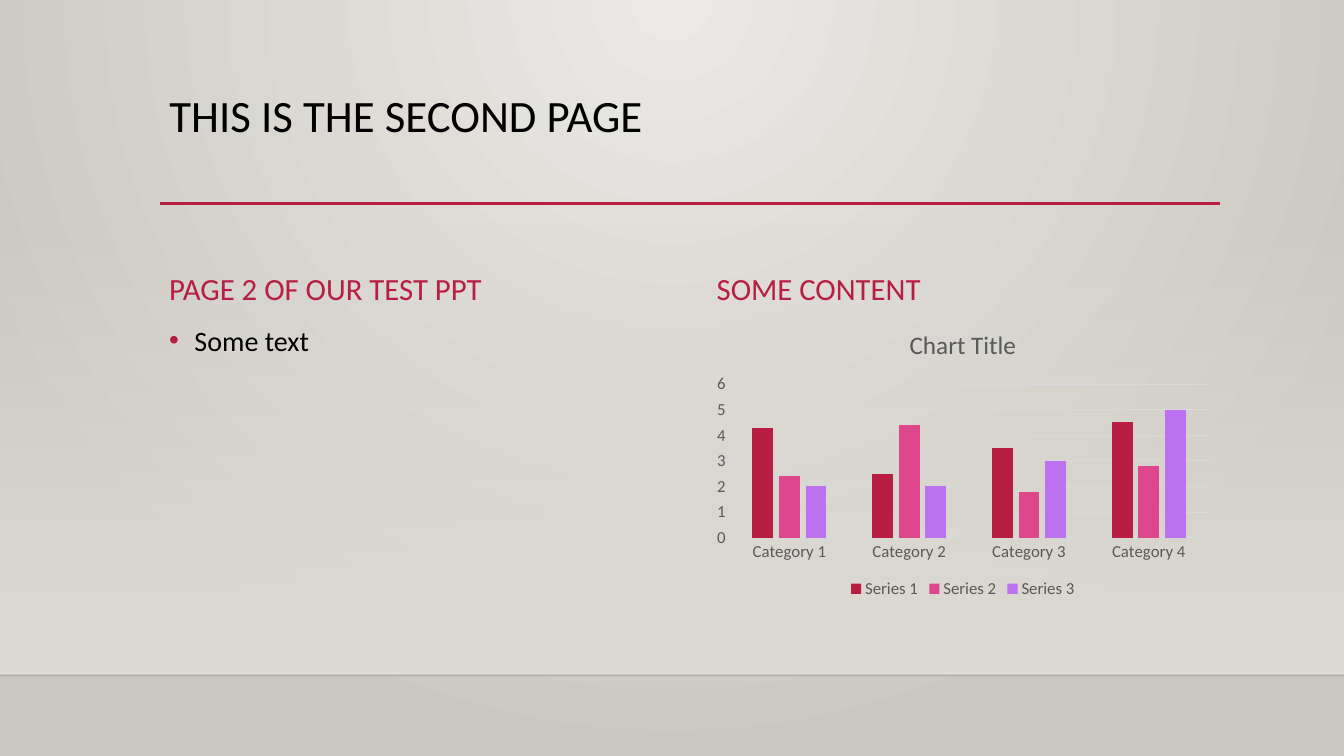
from dataclasses import dataclass

from lxml.etree import SubElement
from pptx import Presentation
from pptx.chart.data import CategoryChartData
from pptx.dml.color import RGBColor
from pptx.enum.chart import XL_CHART_TYPE as ChartType, XL_LEGEND_POSITION as LegendPos, XL_TICK_MARK as Tick
from pptx.enum.shapes import MSO_CONNECTOR as Connector, MSO_SHAPE as Shape
from pptx.enum.text import MSO_ANCHOR as Anchor, MSO_AUTO_SIZE as AutoSize, PP_ALIGN as Align
from pptx.oxml.ns import qn
from pptx.util import Inches, Pt


@dataclass(frozen=True)
class Theme:
    font: str = "Calibri"
    ink: str = "000000"
    accent: str = "B71E42"
    pink: str = "DE478E"
    violet: str = "BC72F0"
    muted: str = "595959"
    grid: str = "D9D9D9"
    glow: str = "ECEAE7"
    edge: str = "CAC7C1"
    wall: str = "DFDBD5"
    floor_line: str = "000001"
    title: int = 32
    heading: int = 22
    body: int = 20
    chart_title: int = 18
    chart: int = 12


@dataclass(frozen=True)
class TextBlock:
    text: str
    left: float
    top: float
    height: float
    size: int
    color: str
    anchor: Anchor = Anchor.TOP
    bullet: bool = False
    line_spacing: float = 1.0


@dataclass(frozen=True)
class Rule:
    left: float
    right: float
    y: float
    color: str
    width: float
    opacity: int = 100


@dataclass(frozen=True)
class Series:
    name: str
    values: tuple[float, ...]
    color: str


T = Theme()
SLIDE_W, SLIDE_H = 13.33, 7.5
LEFT_COL, RIGHT_COL, COL_W = 1.58, 7.01, 5.08
HEAD_TOP, HEAD_H = 2.21, 0.88
BODY_TOP, BODY_H = HEAD_TOP + HEAD_H, 2.89
FLOOR_Y = 6.7

BLOCKS = (
    TextBlock("PAGE 2 OF OUR TEST PPT", LEFT_COL, HEAD_TOP, HEAD_H, T.heading, T.accent, Anchor.BOTTOM),
    TextBlock("Some text", LEFT_COL, BODY_TOP, BODY_H, T.body, T.ink, bullet=True, line_spacing=1.2),
    TextBlock("SOME CONTENT", RIGHT_COL, HEAD_TOP, HEAD_H, T.heading, T.accent, Anchor.BOTTOM),
)
RULES = (
    Rule(0, SLIDE_W, FLOOR_Y, T.floor_line, 1, opacity=20),
    Rule(1.59, 12.1, 2.02, T.accent, 2.5),
)
CATEGORIES = [f"Category {n}" for n in range(1, 5)]
SERIES = (
    Series("Series 1", (4.3, 2.5, 3.5, 4.5), T.accent),
    Series("Series 2", (2.4, 4.4, 1.8, 2.8), T.pink),
    Series("Series 3", (2, 2, 3, 5), T.violet),
)


def rgb(color: str) -> RGBColor:
    return RGBColor.from_string(color)


def set_font(font, size: int, color: str) -> None:
    font.name, font.size = T.font, Pt(size)
    font.color.rgb = rgb(color)


def set_alpha(color_element, percent: int) -> None:
    SubElement(color_element, qn("a:alpha"), val=str(percent * 1000))


def start_gradient(grad, stops: tuple[tuple[str, int], ...]) -> None:
    """Replace a gradient's content by evenly spaced (colour, opacity) stops."""
    for child in list(grad):
        grad.remove(child)
    stop_list = SubElement(grad, qn("a:gsLst"))
    for i, (color, opacity) in enumerate(stops):
        stop = SubElement(stop_list, qn("a:gs"), pos=str(i * 100000 // (len(stops) - 1)))
        set_alpha(SubElement(stop, qn("a:srgbClr"), val=color), opacity)


def paint_background(s) -> None:
    s.background.fill.gradient()
    grad = s.element.find(".//" + qn("a:gradFill"))
    start_gradient(grad, ((T.glow, 100), (T.edge, 100)))
    circle = SubElement(grad, qn("a:path"), path="circle")
    SubElement(circle, qn("a:fillToRect"), l="43000", t="0", r="43000", b="100000")


def add_wall(s) -> None:
    sp = s.shapes.add_shape(Shape.RECTANGLE, 0, Inches(HEAD_TOP), Inches(SLIDE_W), Inches(FLOOR_Y - HEAD_TOP))
    sp.shadow.inherit = False
    sp.line.fill.background()
    sp.fill.gradient()
    grad = sp.element.spPr.find(qn("a:gradFill"))
    start_gradient(grad, ((T.wall, 0), (T.wall, 100)))
    SubElement(grad, qn("a:lin"), ang="5400000", scaled="0")


def add_rule(s, rule: Rule) -> None:
    y = Inches(rule.y)
    line = s.shapes.add_connector(Connector.STRAIGHT, Inches(rule.left), y, Inches(rule.right), y)
    line.line.color.rgb = rgb(rule.color)
    line.line.width = Pt(rule.width)
    if rule.opacity < 100:
        set_alpha(line.element.spPr.find(".//" + qn("a:srgbClr")), rule.opacity)
    SubElement(line.element.spPr, qn("a:effectLst"))


def write_title(s) -> None:
    title = s.shapes.title
    title.left, title.top = Inches(LEFT_COL), Inches(0.88)
    title.width, title.height = Inches(10.51), Inches(1.16)
    tf = title.text_frame
    tf.text = "THIS IS THE SECOND PAGE"
    tf.vertical_anchor, tf.auto_size = Anchor.TOP, AutoSize.NONE
    p = tf.paragraphs[0]
    p.alignment, p.line_spacing = Align.LEFT, 0.9
    set_font(p.font, T.title, T.ink)


def add_text(s, block: TextBlock) -> None:
    box = s.shapes.add_textbox(Inches(block.left), Inches(block.top), Inches(COL_W), Inches(block.height))
    tf = box.text_frame
    tf.word_wrap, tf.vertical_anchor = True, block.anchor
    p = tf.paragraphs[0]
    p.text = block.text
    if block.bullet:
        props = p._p.get_or_add_pPr()
        props.set("marL", str(Inches(0.25)))
        props.set("indent", str(-Inches(0.25)))
        SubElement(SubElement(props, qn("a:buClr")), qn("a:srgbClr"), val=T.accent)
        SubElement(props, qn("a:buFont"), typeface="Arial")
        SubElement(props, qn("a:buChar"), char="•")
    p.line_spacing, p.space_before = block.line_spacing, Pt(10)
    set_font(p.font, block.size, block.color)


def add_column_chart(s) -> None:
    data = CategoryChartData()
    data.categories = CATEGORIES
    for series in SERIES:
        data.add_series(series.name, series.values)
    chart = s.shapes.add_chart(ChartType.COLUMN_CLUSTERED, Inches(RIGHT_COL), Inches(BODY_TOP),
                               Inches(COL_W), Inches(BODY_H), data).chart
    set_font(chart.font, T.chart, T.muted)
    # Title and legend
    chart.has_title = True
    p = chart.chart_title.text_frame.paragraphs[0]
    p.text = "Chart Title"
    p.font.bold = False
    set_font(p.font, T.chart_title, T.muted)
    chart.has_legend = True
    chart.legend.position, chart.legend.include_in_layout = LegendPos.BOTTOM, False
    # Columns
    plot = chart.plots[0]
    plot.gap_width, plot.overlap, plot.vary_by_categories = 219, -27, False
    for bars, series in zip(plot.series, SERIES):
        bars.format.fill.solid()
        bars.format.fill.fore_color.rgb = rgb(series.color)
    # Axes
    values, cats = chart.value_axis, chart.category_axis
    values.minimum_scale, values.maximum_scale, values.major_unit = 0, 6, 1
    for axis in (values, cats):
        axis.major_tick_mark = axis.minor_tick_mark = Tick.NONE
    values.format.line.fill.background()
    for line in (values.major_gridlines.format.line, cats.format.line):
        line.color.rgb, line.width = rgb(T.grid), Pt(0.75)


def main() -> None:
    prs = Presentation()
    prs.slide_width, prs.slide_height = Inches(SLIDE_W), Inches(SLIDE_H)
    s = prs.slides.add_slide(prs.slide_layouts[5])
    # Backdrop
    paint_background(s)
    add_wall(s)
    for rule in RULES:
        add_rule(s, rule)
    # Content
    write_title(s)
    for block in BLOCKS:
        add_text(s, block)
    add_column_chart(s)
    prs.save("out.pptx")


if __name__ == "__main__":
    main()
